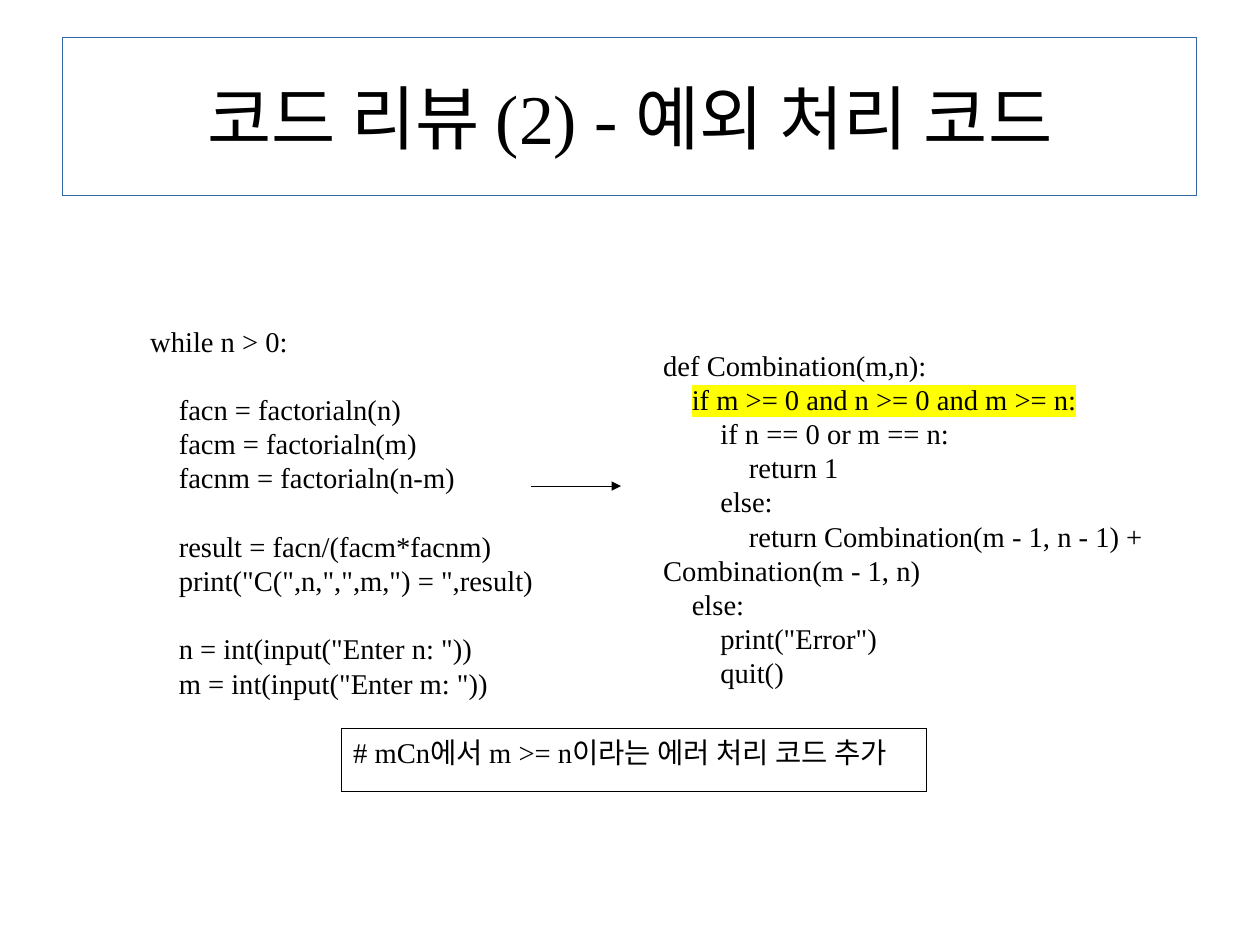
from lxml import etree
from pptx import Presentation, util as u
from pptx.dml.color import RGBColor
from pptx.enum import shapes, text
from pptx.oxml.ns import qn

PX = 8000
INDENT = u.Pt(18)
PITCH = u.Pt(21.55)
YELLOW = "FFFF00"


def style(p, size, color="000000"):
    for r in p.runs:
        for name, value in {"name": "Times New Roman", "size": u.Pt(size), "bold": False}.items():
            setattr(r.font, name, value)
        r.font.color.rgb = RGBColor.from_string(color)


def hairline(shape, color):
    shape.line.color.rgb = RGBColor.from_string(color)
    ln = shape._element.spPr.find(qn("a:ln"))
    ln.set("w", "0")
    return ln


prs = Presentation()
prs.slide_width, prs.slide_height = 1260 * PX, 945 * PX
s = prs.slides.add_slide(prs.slide_layouts[5])

# Title
title = s.shapes.title
for name, value in {"left": 63, "top": 38, "width": 1134, "height": 158}.items():
    setattr(title, name, value * PX)
hairline(title, "3465A4")
tf = title.text_frame
for name, value in {"margin_left": 0, "margin_top": 0, "margin_right": 0, "margin_bottom": 0,
                    "vertical_anchor": text.MSO_ANCHOR.MIDDLE, "word_wrap": True,
                    "auto_size": text.MSO_AUTO_SIZE.NONE}.items():
    setattr(tf, name, value)
tf.text = "코드 리뷰 (2) - 예외 처리 코드"
tf.paragraphs[0].alignment = text.PP_ALIGN.CENTER
style(tf.paragraphs[0], 44)

# Code before and after: (indent level, code, starts a new group)
before = [
    (0, "while n > 0:", False),
    (1, "facn = factorialn(n)", True),
    (1, "facm = factorialn(m)", False),
    (1, "facnm = factorialn(n-m)", False),
    (1, "result = facn/(facm*facnm)", True),
    (1, 'print("C(",n,",",m,") = ",result)', False),
    (1, 'n = int(input("Enter n: "))', True),
    (1, 'm = int(input("Enter m: "))', False),
]
check = "if m >= 0 and n >= 0 and m >= n:"
after = [
    (0, "def Combination(m,n):", False),
    (1, check, False),
    (2, "if n == 0 or m == n:", False),
    (3, "return 1", False),
    (2, "else:", False),
    (3, "return Combination(m - 1, n - 1) + Combination(m - 1, n)", False),
    (1, "else:", False),
    (2, 'print("Error")', False),
    (2, "quit()", False),
]
for box, code in (((139, 318, 576, 433), before), ((652, 342, 540, 328), after)):
    tf = s.shapes.add_textbox(*(v * PX for v in box)).text_frame
    tf.word_wrap = True
    for i, (level, line, new_group) in enumerate(code):
        p = tf.add_paragraph() if i else tf.paragraphs[0]
        p.text = line
        p.line_spacing = PITCH
        p.space_before = PITCH if new_group else 0
        pPr = p._p.get_or_add_pPr()
        pPr.set("marL", "0")
        pPr.set("indent", str(level * INDENT))  # first line only
        style(p, 18)
        if line == check:
            fill = p.runs[0]._r.rPr.find(qn("a:solidFill"))
            mark = etree.Element(qn("a:highlight"))
            etree.SubElement(mark, qn("a:srgbClr"), val=YELLOW)
            fill.addnext(mark)

# Arrow from old to new code
arrow = s.shapes.add_connector(shapes.MSO_CONNECTOR.STRAIGHT, *(v * PX for v in (531, 486, 621, 486)))
etree.SubElement(hairline(arrow, "000000"), qn("a:tailEnd"), type="triangle")
etree.SubElement(arrow._element.spPr, qn("a:effectLst"))

# Note
note = s.shapes.add_shape(shapes.MSO_SHAPE.RECTANGLE, *(v * PX for v in (342, 729, 585, 63)))
note.shadow.inherit = False
note.fill.background()
hairline(note, "000000")
tf = note.text_frame
tf.word_wrap = False
tf.vertical_anchor = text.MSO_ANCHOR.TOP
tf.text = "# mCn에서 m >= n이라는 에러 처리 코드 추가"
tf.paragraphs[0].alignment = text.PP_ALIGN.LEFT
style(tf.paragraphs[0], 18)

prs.save("out.pptx")
